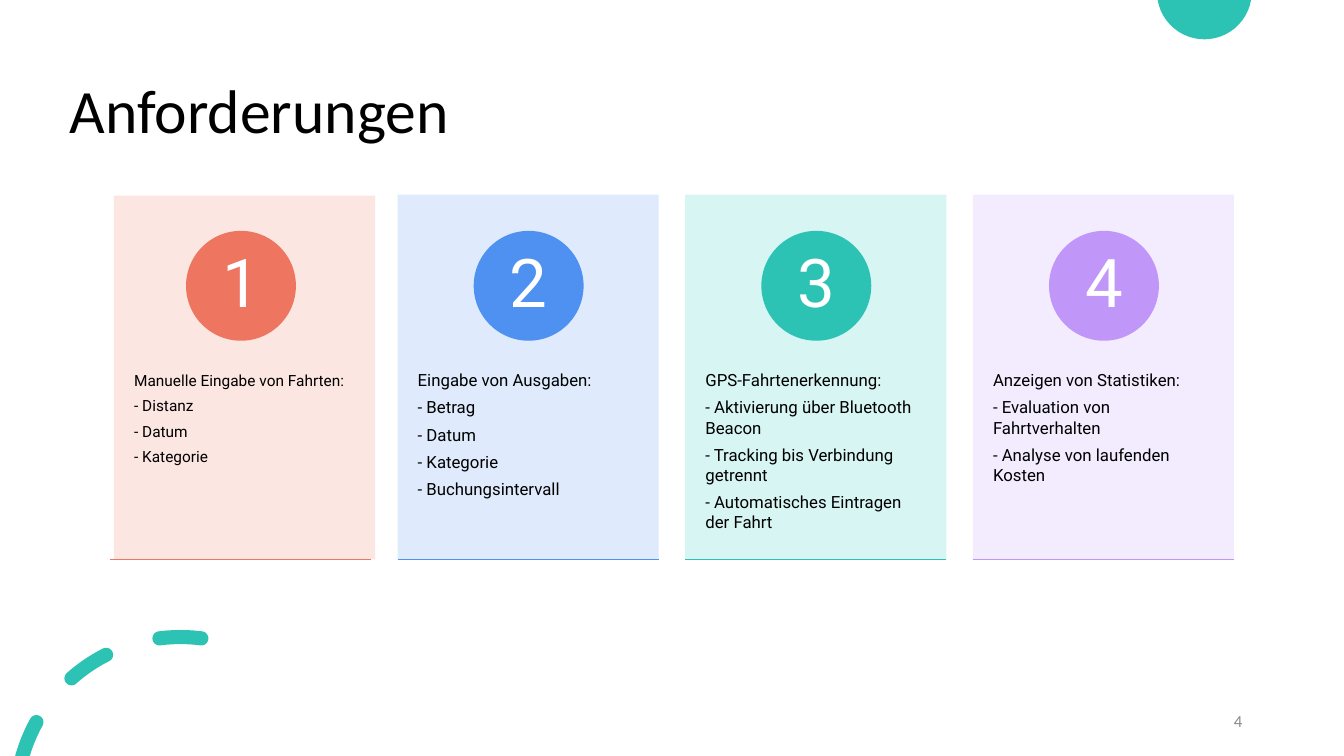
"""Builds the requirements slide with four numbered cards."""
from dataclasses import dataclass
from math import cos, radians, sin

from lxml import etree
from pptx import Presentation
from pptx.dml.color import RGBColor
from pptx.enum.shapes import MSO_CONNECTOR, MSO_SHAPE
from pptx.enum.text import MSO_ANCHOR, MSO_AUTO_SIZE, PP_ALIGN
from pptx.oxml.ns import qn
from pptx.util import Inches, Pt

RECTANGLE, OVAL = MSO_SHAPE.RECTANGLE, MSO_SHAPE.OVAL
STRAIGHT = MSO_CONNECTOR.STRAIGHT
TOP, MIDDLE = MSO_ANCHOR.TOP, MSO_ANCHOR.MIDDLE
LEFT, CENTER, RIGHT = PP_ALIGN.LEFT, PP_ALIGN.CENTER, PP_ALIGN.RIGHT
FIXED_SIZE = MSO_AUTO_SIZE.NONE


@dataclass(frozen=True)
class Theme:
    """Colours, fonts and type sizes of the slide."""
    heading_font: str = "Calibri"
    body_font: str = "Roboto"
    black: str = "000000"
    white: str = "FFFFFF"
    gray: str = "898989"
    teal: str = "2CC3B4"
    strong: tuple = ("EE7661", "4E91F0", "2CC3B4", "C097F8")
    pale: tuple = ("FCE4DF", "DCE9FC", "D3F5F2", "F2EAFE")
    title_size: int = 44
    number_size: int = 48
    card_sizes: tuple = (11, 12, 12, 12)
    page_number_size: int = 12


THEME = Theme()
SLIDE_WIDTH, SLIDE_HEIGHT = 13.33, 7.5
COLUMN_LEFT, COLUMN_PITCH, COLUMN_WIDTH = 1.09, 2.853, 2.59
CARD_BOTTOM = 5.55
CARD_CORNERS = ((0.04, 1.94), (0, 1.93), (0, 1.93), (0, 1.93))
CIRCLE_OFFSET, CIRCLE_TOP, CIRCLE_SIZE = 0.755, 2.29, 1.09
RING_CENTER, RING_RADIUS, DASH_RADIUS = (1.79, 7.95), 1.63, 0.07
DASH_ANGLES = ((195.35, 208.8), (228.5, 243.1), (262.7, 277.3))

CARDS = (
    ("Manuelle Eingabe von Fahrten:", "- Distanz", "- Datum", "- Kategorie"),
    ("Eingabe von Ausgaben:", "- Betrag", "- Datum", "- Kategorie",
     "- Buchungsintervall"),
    ("GPS-Fahrtenerkennung:", "- Aktivierung über Bluetooth Beacon",
     "- Tracking bis Verbindung getrennt",
     "- Automatisches Eintragen der Fahrt"),
    ("Anzeigen von Statistiken:", "- Evaluation von Fahrtverhalten",
     "- Analyse von laufenden Kosten"),
)


def write(box, lines, size, font, color, align=LEFT, anchor=TOP,
          margins=(0.1, 0.05, 0.1, 0.05), spacing=1.0, after=0):
    """Write lines as formatted paragraphs into a box."""
    frame = box.text_frame
    frame.word_wrap = True
    frame.auto_size = FIXED_SIZE
    frame.vertical_anchor = anchor
    (frame.margin_left, frame.margin_top,
     frame.margin_right, frame.margin_bottom) = map(Inches, margins)
    for index, line in enumerate(lines):
        para = frame.add_paragraph() if index else frame.paragraphs[0]
        para.alignment = align
        para.line_spacing = spacing
        para.space_before = Pt(0)
        para.space_after = Pt(after)
        span = para.add_run()
        span.text = line
        span.font.size = Pt(size)
        span.font.name = font
        span.font.color.rgb = RGBColor.from_string(color)


def paint(shape, color, opacity=100):
    """Give a shape a flat fill without line or shadow."""
    shape.shadow.inherit = False
    shape.line.fill.background()
    shape.fill.solid()
    shape.fill.fore_color.rgb = RGBColor.from_string(color)
    if opacity < 100:
        tint = shape.fill._xPr.find(qn("a:solidFill"))[0]
        etree.SubElement(tint, qn("a:alpha"), val=str(opacity * 1000))


def add_block(page, kind, left, top, width, height, color, opacity=100):
    """Add a flat preset shape."""
    block = page.shapes.add_shape(
        kind, Inches(left), Inches(top), Inches(width), Inches(height))
    paint(block, color, opacity)
    return block


def add_rule(page, left, top, width, color):
    """Add a thin horizontal line."""
    rule = page.shapes.add_connector(
        STRAIGHT, Inches(left), Inches(top), Inches(left + width), Inches(top))
    rule.line.color.rgb = RGBColor.from_string(color)
    rule.line.width = Pt(1)
    etree.SubElement(rule._element.spPr, qn("a:effectLst"))


def arc(center, radius, start, end, steps=24):
    """Return points on a circular arc between two angles in degrees."""
    angles = [radians(start + (end - start) * step / steps)
              for step in range(steps + 1)]
    return [(center[0] + radius * cos(angle), center[1] + radius * sin(angle))
            for angle in angles]


def dash_outline(start, end):
    """Return a round-ended ring section that stops at the slide's edge."""
    def cap(angle, turn):
        center = arc(RING_CENTER, RING_RADIUS, angle, angle, 1)[0]
        return arc(center, DASH_RADIUS, turn, turn + 180)

    points = (arc(RING_CENTER, RING_RADIUS + DASH_RADIUS, start, end)
              + cap(end, end)
              + arc(RING_CENTER, RING_RADIUS - DASH_RADIUS, end, start)
              + cap(start, start + 180))
    return [(x, min(y, SLIDE_HEIGHT)) for x, y in points]


def add_outlines(page, outlines, color):
    """Add one flat freeform made of closed outlines."""
    contours = [[(Inches(x), Inches(y)) for x, y in outline]
                for outline in outlines]
    builder = page.shapes.build_freeform(*contours[0][0])
    for index, contour in enumerate(contours):
        if index:
            builder.move_to(*contour[0])
        builder.add_line_segments(contour[1:], close=True)
    paint(builder.convert_to_shape(), color)


def add_title(page, text):
    """Place and fill the title placeholder."""
    title = page.shapes.title
    title.left, title.top = Inches(0.59), Inches(0.4)
    title.width, title.height = Inches(11.5), Inches(1.45)
    write(title, [text], THEME.title_size, THEME.heading_font, THEME.black,
          anchor=MIDDLE, spacing=0.9)


def add_card(page, index, lines):
    """Add one card with its text, numbered circle and base line."""
    left = COLUMN_LEFT + index * COLUMN_PITCH
    shift, top = CARD_CORNERS[index]
    card = add_block(page, RECTANGLE, left + shift, top, COLUMN_WIDTH,
                     CARD_BOTTOM - top, THEME.pale[index], opacity=90)
    write(card, lines, THEME.card_sizes[index], THEME.body_font, THEME.black,
          margins=(0.2, 1.74, 0.2, 0.43), after=5)
    circle = add_block(page, OVAL, left + CIRCLE_OFFSET, CIRCLE_TOP,
                       CIRCLE_SIZE, CIRCLE_SIZE, THEME.strong[index])
    write(circle, [str(index + 1)], THEME.number_size, THEME.body_font,
          THEME.white, CENTER, MIDDLE, margins=(0, 0, 0, 0), spacing=0.9)
    add_rule(page, left, CARD_BOTTOM, COLUMN_WIDTH, THEME.strong[index])


def add_page_number(page, number):
    """Add the page number at the lower right."""
    box = page.shapes.add_textbox(
        Inches(9.42), Inches(6.95), Inches(3), Inches(0.4))
    write(box, [number], THEME.page_number_size, THEME.heading_font,
          THEME.gray, RIGHT, MIDDLE)


def main():
    """Build and save the deck."""
    deck = Presentation()
    deck.slide_width, deck.slide_height = Inches(SLIDE_WIDTH), Inches(SLIDE_HEIGHT)
    page = deck.slides.add_slide(deck.slide_layouts.get_by_name("Title Only"))
    add_outlines(page, [arc((11.945, -0.08), 0.47, 9.8, 170.2)], THEME.teal)
    add_outlines(page, [dash_outline(*angles) for angles in DASH_ANGLES],
                 THEME.teal)
    add_title(page, "Anforderungen")
    for index, lines in enumerate(CARDS):
        add_card(page, index, lines)
    add_page_number(page, "4")
    deck.save("out.pptx")


if __name__ == "__main__":
    main()
